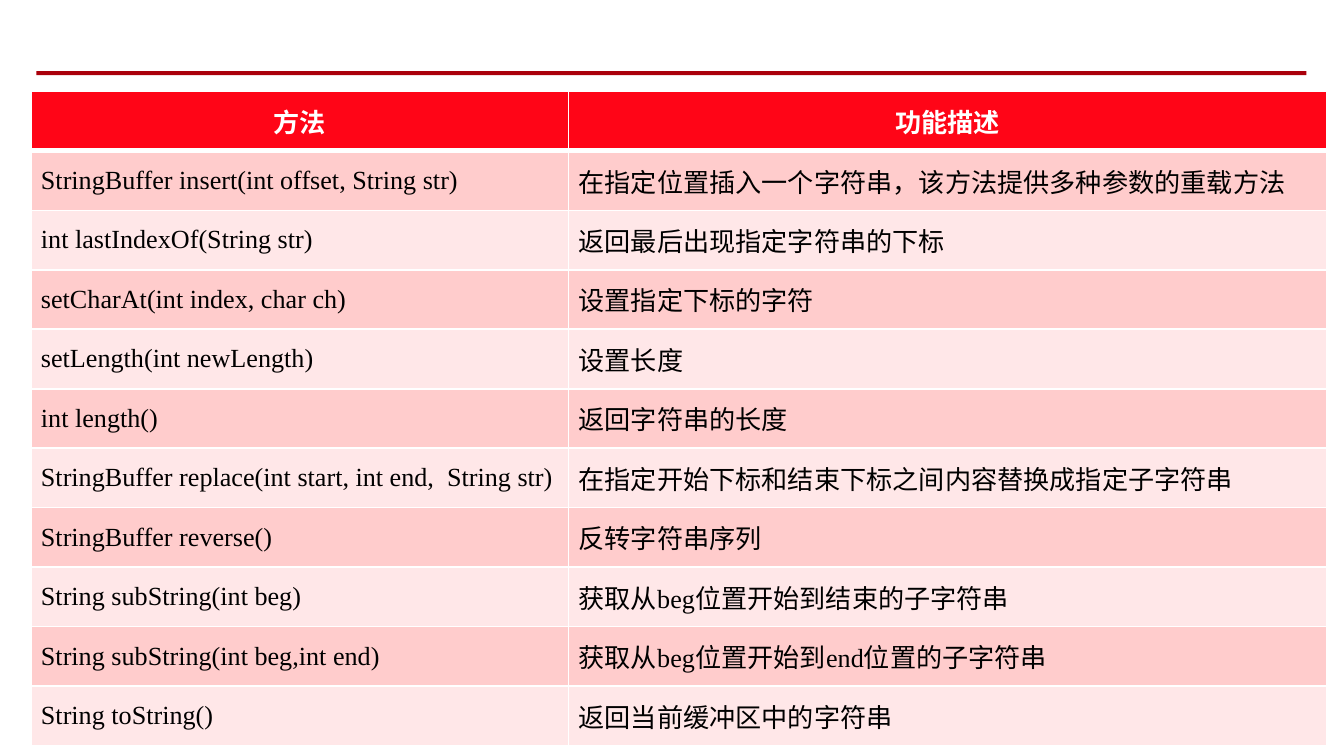
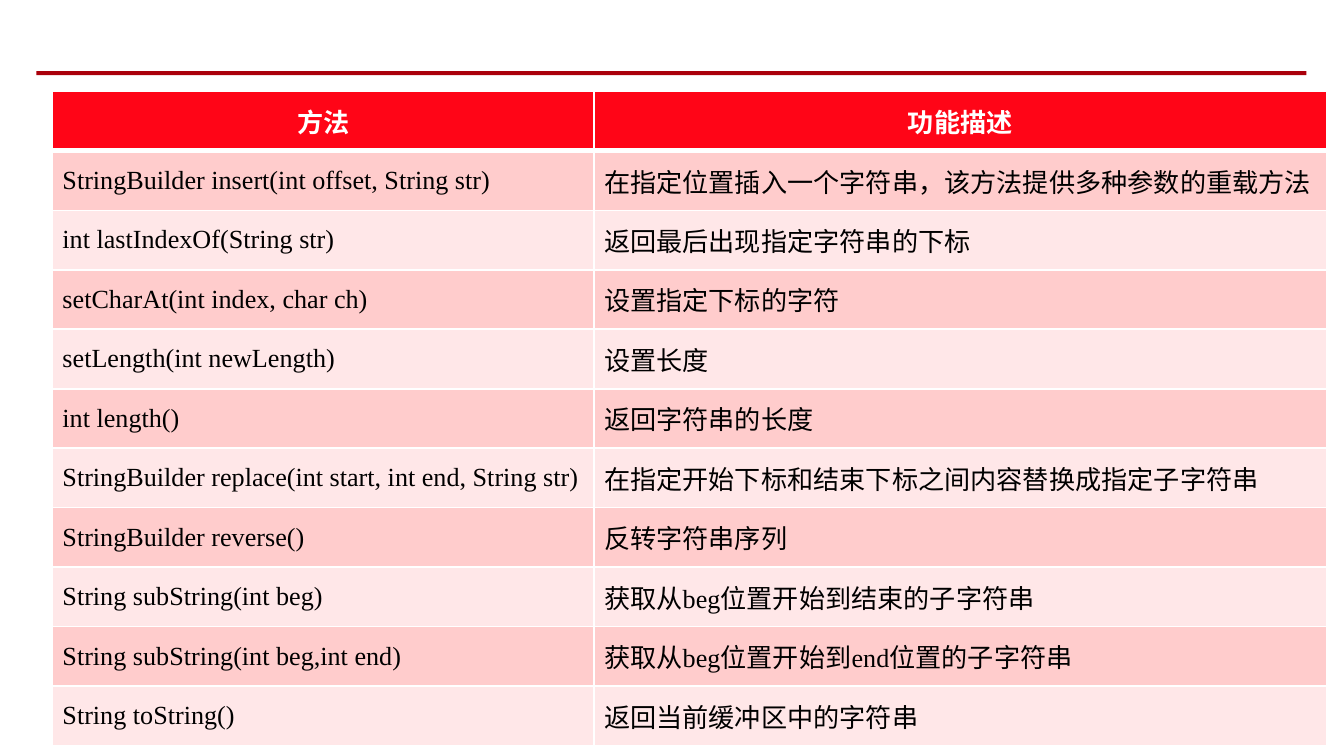
import pptx
import pptx.dml.color
import pptx.enum.shapes
import pptx.enum.text
import pptx.oxml
import pptx.oxml.ns
import pptx.util
from pptx.util import Inches

# Shared look
RULE_RED = "AA000B"
HEADER_RED = "FF0517"
BAND_FILLS = ("FFCCCC", "FFE7E8")
WHITE = "FFFFFF"
BLACK = "000000"
HEADER_FONT = "Calibri"
BODY_FONT = "Times New Roman"
TEXT_SIZE = 14
SIDE_MARGIN = 5.4
TABLE_TOP = 0.68
TABLE_HEIGHT = 4.87
THIN, THICK = 1, 3

HEADER = ("方法", "功能描述")


def method_rows(class_name, last_separator):
    """The methods that both string classes offer."""
    return [
        (f"{class_name} insert(int offset, String str)",
         "在指定位置插入一个字符串，该方法提供多种参数的重载方法"),
        ("int lastIndexOf(String str)", "返回最后出现指定字符串的下标"),
        ("setCharAt(int index, char ch)", "设置指定下标的字符"),
        ("setLength(int newLength)", "设置长度"),
        ("int length()", "返回字符串的长度"),
        (f"{class_name} replace(int start, int end,{last_separator}String str)",
         "在指定开始下标和结束下标之间内容替换成指定子字符串"),
        (f"{class_name} reverse()", "反转字符串序列"),
        ("String subString(int beg)", "获取从beg位置开始到结束的子字符串"),
        ("String subString(int beg,int end)", "获取从beg位置开始到end位置的子字符串"),
        ("String toString()", "返回当前缓冲区中的字符串"),
    ]


def color(hex_value):
    return pptx.dml.color.RGBColor.from_string(hex_value)


def add_title_rule(slide):
    rule = slide.shapes.add_shape(
        pptx.enum.shapes.MSO_SHAPE.RECTANGLE,
        Inches(0.27), Inches(0.53), Inches(9.45), Inches(0.03))
    rule.shadow.inherit = False
    rule.fill.solid()
    rule.fill.fore_color.rgb = color(RULE_RED)
    rule.line.fill.background()


def set_borders(cell, top, bottom):
    """White borders; they must precede the fill in the cell properties."""
    properties = cell._tc.get_or_add_tcPr()
    for side, width in (("L", THIN), ("R", THIN), ("T", top), ("B", bottom)):
        properties.append(pptx.oxml.parse_xml(
            f'<a:ln{side} {pptx.oxml.ns.nsdecls("a")} w="{pptx.util.Pt(width)}">'
            f'<a:solidFill><a:srgbClr val="{WHITE}"/></a:solidFill></a:ln{side}>'))


def fill_cell(cell, text, row_index):
    is_header = row_index == 0
    set_borders(cell, THICK if row_index == 1 else THIN,
                THICK if is_header else THIN)
    cell.fill.solid()
    cell.fill.fore_color.rgb = color(
        HEADER_RED if is_header else BAND_FILLS[(row_index - 1) % 2])
    cell.vertical_anchor = pptx.enum.text.MSO_ANCHOR.MIDDLE
    cell.margin_left = cell.margin_right = pptx.util.Pt(SIDE_MARGIN)
    cell.margin_top = cell.margin_bottom = 0

    paragraph = cell.text_frame.paragraphs[0]
    if is_header:
        paragraph.alignment = pptx.enum.text.PP_ALIGN.CENTER
    run = paragraph.add_run()
    run.text = text
    run.font.name = HEADER_FONT if is_header else BODY_FONT
    run.font.size = pptx.util.Pt(TEXT_SIZE)
    run.font.bold = is_header
    run.font.color.rgb = color(WHITE if is_header else BLACK)


def add_method_table(slide, left, column_widths, methods):
    rows = [HEADER, *methods]
    table = slide.shapes.add_table(
        len(rows), len(HEADER), Inches(left), Inches(TABLE_TOP),
        Inches(sum(column_widths)), Inches(TABLE_HEIGHT)).table
    table.horz_banding = False
    for column, width in zip(table.columns, column_widths):
        column.width = Inches(width)
    for row_index, texts in enumerate(rows):
        table.rows[row_index].height = Inches(TABLE_HEIGHT / len(rows))
        for column_index, text in enumerate(texts):
            fill_cell(table.cell(row_index, column_index), text, row_index)


def add_method_slide(presentation, left, column_widths, methods):
    slide = presentation.slides.add_slide(presentation.slide_layouts[6])
    add_title_rule(slide)
    add_method_table(slide, left, column_widths, methods)


def main():
    # Widescreen page, 16 to 9
    presentation = pptx.Presentation()
    presentation.slide_width = Inches(10)
    presentation.slide_height = Inches(10 * 9 / 16)

    # StringBuffer methods
    add_method_slide(presentation, 0.23, (4, 5.64),
                     method_rows("StringBuffer", "  "))
    # StringBuilder methods
    add_method_slide(presentation, 0.39, (4.03, 5.45),
                     method_rows("StringBuilder", " "))

    presentation.save("out.pptx")


if __name__ == "__main__":
    main()
